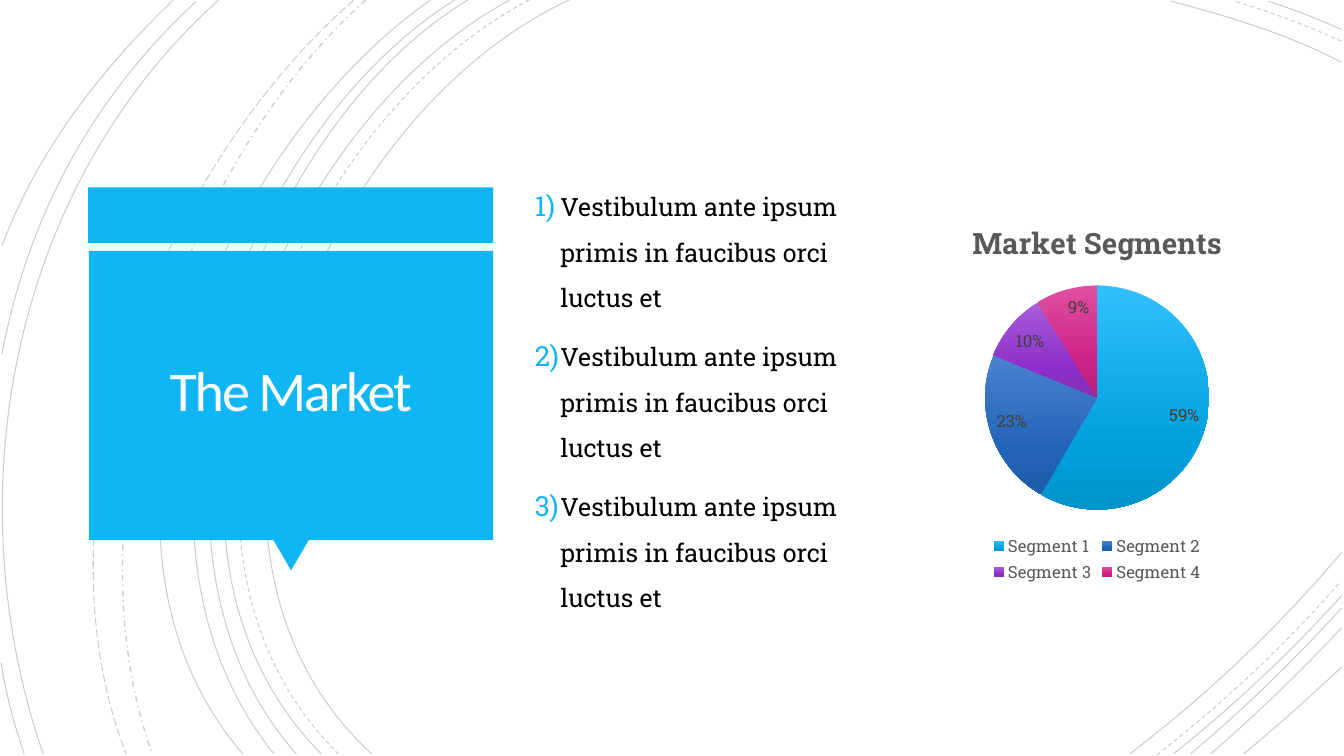
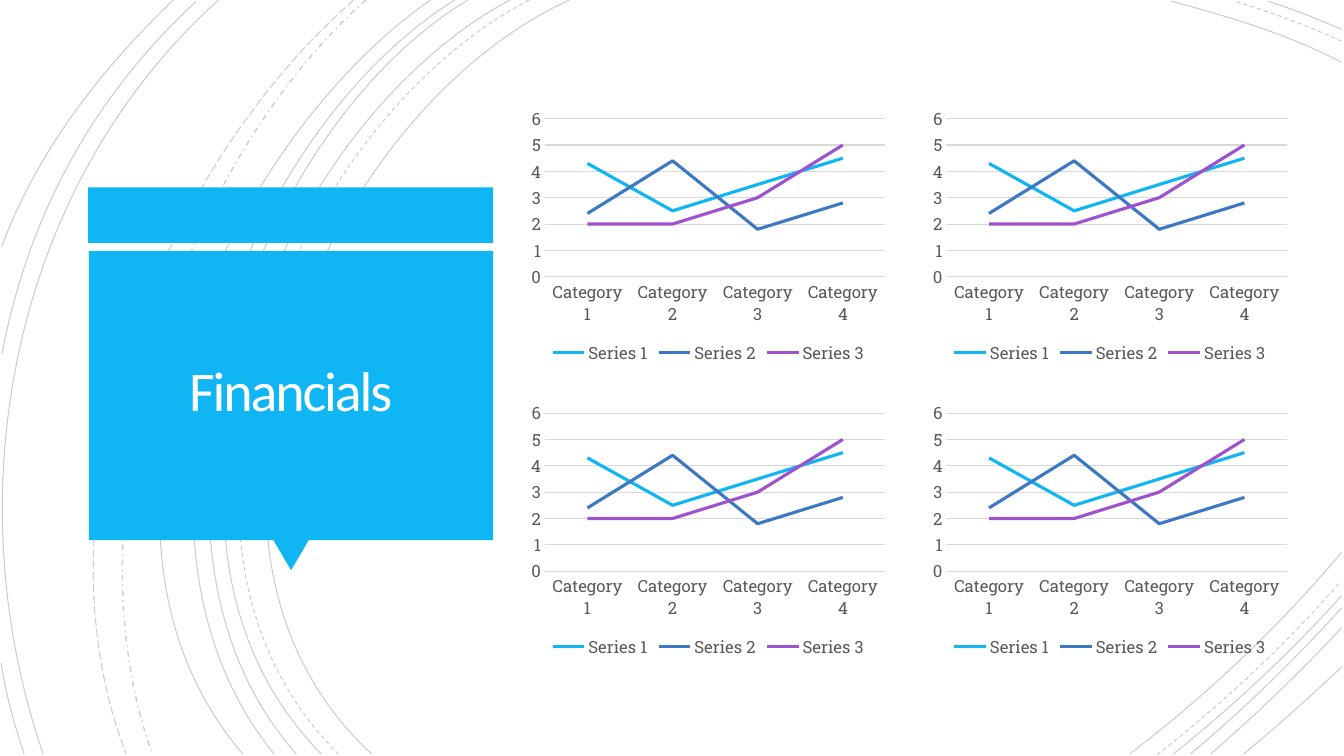
from copy import deepcopy

from lxml import etree
from pptx import Presentation
from pptx.chart.data import CategoryChartData
from pptx.dml.color import RGBColor
from pptx.enum.chart import XL_CHART_TYPE, XL_LABEL_POSITION, XL_LEGEND_POSITION, XL_TICK_MARK
from pptx.enum.dml import MSO_LINE
from pptx.enum.shapes import MSO_SHAPE
from pptx.enum.text import MSO_ANCHOR, MSO_AUTO_SIZE, PP_ALIGN
from pptx.oxml.ns import qn
from pptx.util import Cm, Pt

PIE, LINE = XL_CHART_TYPE.PIE, XL_CHART_TYPE.LINE
LEGEND_BOTTOM = XL_LEGEND_POSITION.BOTTOM
INSIDE_END = XL_LABEL_POSITION.INSIDE_END
NO_TICK = XL_TICK_MARK.NONE
SOLID, DASH = MSO_LINE.SOLID, MSO_LINE.DASH
DASH_DOT, LONG_DASH = MSO_LINE.DASH_DOT, MSO_LINE.LONG_DASH
RECTANGLE, TRIANGLE = MSO_SHAPE.RECTANGLE, MSO_SHAPE.ISOSCELES_TRIANGLE
MIDDLE, CENTER, NO_AUTOFIT = MSO_ANCHOR.MIDDLE, PP_ALIGN.CENTER, MSO_AUTO_SIZE.NONE
TITLE_ONLY = 5

# Backdrop arcs: dash style, then the four Bezier points (x, y) in cm
ARCS = [
    (SOLID, (14.35, 0), (8, 2.92), (3.63, 13.72), (9.37, 19)),
    (SOLID, (33.81, 1.57), (32.46, 0.86), (30.94, 0.41), (29.51, 0.03)),
    (SOLID, (28.47, 19), (30.4, 17.53), (32.23, 15.8), (33.81, 13.92)),
    (DASH, (13.34, 0), (7.24, 3.18), (3.12, 13.64), (8.53, 19)),
    (DASH, (33.81, 1.04), (32.94, 0.64), (32, 0.3), (31.12, 0.03)),
    (DASH, (29.16, 19.02), (30.81, 17.73), (32.39, 16.26), (33.78, 14.66)),
    (SOLID, (12.85, 0), (6.86, 3.23), (2.79, 13.64), (8.1, 19)),
    (SOLID, (33.81, 0.74), (33.2, 0.48), (32.59, 0.23), (31.95, 0.03)),
    (SOLID, (29.57, 19), (31.06, 17.81), (32.51, 16.46), (33.81, 15.01)),
    (SOLID, (11.79, 0), (6.2, 3.38), (2.79, 13.74), (7.47, 19)),
    (SOLID, (30, 19), (31.34, 17.88), (32.61, 16.64), (33.81, 15.32)),
    (SOLID, (11.46, 0), (5.87, 3.51), (2.46, 13.54), (6.91, 19)),
    (SOLID, (30.51, 19), (31.65, 18.01), (32.77, 16.94), (33.81, 15.82)),
    (SOLID, (10.85, 0), (5.51, 3.73), (1.35, 13.44), (6.12, 19)),
    (SOLID, (31.34, 19), (32.18, 18.31), (32.99, 17.58), (33.81, 16.81)),
    (DASH_DOT, (9.22, 0), (4.47, 4.22), (1.65, 12.93), (3.84, 19)),
    (LONG_DASH, (8.92, 0), (3.99, 4.29), (0.74, 12.67), (3.18, 19)),
    (SOLID, (5.51, 0), (0.28, 4.7), (-1.17, 12.45), (1.09, 19)),
    (SOLID, (4.95, 0.03), (2.34, 2.44), (0.71, 5.44), (0.05, 8.92)),
    (SOLID, (0.03, 16.71), (0.15, 17.5), (0.36, 18.26), (0.61, 19)),
    (SOLID, (4.37, 0), (2.54, 1.75), (0.94, 3.81), (0.05, 6.2)),
]

# Slide content
MARKET_POINTS = ["Vestibulum ante ipsum primis in faucibus orci luctus et"] * 3
SEGMENTS = {"Segment 1": 59, "Segment 2": 23, "Segment 3": 10, "Segment 4": 9}
SEGMENT_GRADIENTS = [
    ("32BFFE", "00A1DE", "0094CB"),
    ("4B82CD", "2264B8", "1F5CA8"),
    ("A85ED9", "8D2ECA", "8030B2"),
    ("E04FA1", "CC2285", "B9217A"),
]
GRADIENT_POSITIONS = (0, 0.69, 1)
CATEGORIES = [f"Category {number}" for number in range(1, 5)]
FINANCIAL_SERIES = [
    ("Series 1", (4.3, 2.5, 3.5, 4.5), "10B6F4"),
    ("Series 2", (2.4, 4.4, 1.8, 2.8), "3C78C3"),
    ("Series 3", (2, 2, 3, 5), "9F52D0"),
]


def color(hex_string):
    return RGBColor.from_string(hex_string)


def box(left, top, width, height):
    return Cm(left), Cm(top), Cm(width), Cm(height)


class Deck:
    accent, title_color, black = "10B6F4", "FFFEFF", "000000"
    chart_text, label_text, grid = "595959", "404040", "D9D9D9"
    title_font, body_font = "Calibri", "Roboto Slab"

    def __init__(self):
        self.presentation = Presentation()
        self.presentation.slide_width = Cm(33.87)
        self.presentation.slide_height = Cm(19.05)
        self.layout = self.presentation.slide_layouts[TITLE_ONLY]
        self.slide = None

    def add_slide(self, title):
        first = self.slide is None
        self.slide = self.presentation.slides.add_slide(self.layout)
        if first:
            self.backdrop()
        self.title(title)

    def backdrop(self):
        """Draw the shared arcs and title panel and move them to the layout."""
        shapes = [self.arc(dash, points) for dash, *points in ARCS]
        band = self.block(RECTANGLE, box(2.22, 4.72, 10.21, 1.4))
        pointer = self.block(TRIANGLE, box(6.89, 13.61, 0.89, 0.76))
        pointer.rotation = 180
        panel = self.block(RECTANGLE, box(2.24, 6.32, 10.19, 7.29))
        for shape in shapes + [band, pointer, panel]:
            self.layout.shapes._spTree.append(shape._element)

    def arc(self, dash, points):
        start, *others = [(Cm(x), Cm(y)) for x, y in points]
        builder = self.slide.shapes.build_freeform(*start)
        builder.add_line_segments(others, close=False)
        shape = builder.convert_to_shape()
        # Turn the three straight segments into one cubic curve
        segments = list(shape._element.iter(qn("a:lnTo")))
        curve = etree.SubElement(segments[0].getparent(), qn("a:cubicBezTo"))
        for segment in segments:
            curve.append(segment[0])
            segment.getparent().remove(segment)
        shape.shadow.inherit = False
        shape.fill.background()
        line = shape.line
        line.color.rgb = color(self.black)
        line.width = Pt(1 if dash == DASH_DOT else 0.75)
        line.dash_style = dash
        line_color = shape._element.spPr.find(".//" + qn("a:srgbClr"))
        etree.SubElement(line_color, qn("a:alpha")).set("val", "20000")
        return shape

    def block(self, kind, place):
        shape = self.slide.shapes.add_shape(kind, *place)
        shape.shadow.inherit = False
        shape.fill.solid()
        shape.fill.fore_color.rgb = color(self.accent)
        shape.line.fill.background()
        return shape

    def style_font(self, font, size, hex_string, name=body_font, bold=False):
        font.name, font.size, font.bold = name, Pt(size), bold
        font.color.rgb = color(hex_string)

    def title(self, text):
        shape = self.slide.shapes.title
        shape.left, shape.top, shape.width, shape.height = box(2.46, 6.53, 9.73, 6.83)
        frame = shape.text_frame
        frame.auto_size, frame.word_wrap, frame.vertical_anchor = NO_AUTOFIT, True, MIDDLE
        frame.margin_left = frame.margin_right = Cm(0.64)
        frame.margin_top = frame.margin_bottom = Cm(0.64)
        paragraph = frame.paragraphs[0]
        paragraph.alignment, paragraph.line_spacing = CENTER, 0.85
        run = paragraph.add_run()
        run.text = text
        self.style_font(run.font, 40, self.title_color, self.title_font)
        run.font._element.set("spc", "-150")

    def numbered_list(self, items, place):
        frame = self.slide.shapes.add_textbox(*place).text_frame
        frame.word_wrap, frame.vertical_anchor = True, MIDDLE
        for index, item in enumerate(items):
            paragraph = frame.add_paragraph() if index else frame.paragraphs[0]
            paragraph.line_spacing, paragraph.space_before = 1.5, Pt(10)
            run = paragraph.add_run()
            run.text = item
            self.style_font(run.font, 18, self.black)
            self.number(paragraph)

    def number(self, paragraph):
        properties = paragraph._p.get_or_add_pPr()
        properties.set("marL", str(Cm(0.64)))
        properties.set("indent", str(-Cm(0.64)))
        bullet_color = etree.SubElement(properties, qn("a:buClr"))
        etree.SubElement(bullet_color, qn("a:srgbClr")).set("val", self.accent)
        etree.SubElement(properties, qn("a:buSzPct")).set("val", "110000")
        etree.SubElement(properties, qn("a:buFont")).set("typeface", self.body_font)
        etree.SubElement(properties, qn("a:buAutoNum")).set("type", "arabicParenR")

    def chart(self, kind, categories, series, place):
        data = CategoryChartData()
        data.categories = categories
        for name, values in series:
            data.add_series(name, values)
        chart = self.slide.shapes.add_chart(kind, *place, data).chart
        self.style_font(chart.font, 10, self.black)
        chart.has_title = False
        chart.has_legend = True
        chart.legend.position = LEGEND_BOTTOM
        chart.legend.include_in_layout = False
        self.style_font(chart.legend.font, 12, self.chart_text)
        chart.plots[0].vary_by_categories = kind == PIE
        return chart

    def pie_chart(self, title, shares, gradients, place):
        chart = self.chart(PIE, list(shares), [("Series 1", list(shares.values()))], place)
        chart.has_title = True
        run = chart.chart_title.text_frame.paragraphs[0].add_run()
        run.text = title
        self.style_font(run.font, 21, self.chart_text, bold=True)
        plot = chart.plots[0]
        for index, hex_strings in enumerate(gradients):
            self.gradient(plot.series[0].points[index].format.fill, hex_strings)
        plot.has_data_labels = True
        labels = plot.data_labels
        labels.show_value, labels.position = True, INSIDE_END
        labels.number_format, labels.number_format_is_linked = '0"%"', False
        self.style_font(labels.font, 12, self.label_text)

    def gradient(self, fill, hex_strings):
        fill.gradient()
        fill.gradient_angle = 270
        # The default gradient has two stops; a third is needed
        last_stop = fill.gradient_stops[1]._gs
        last_stop.addnext(deepcopy(last_stop))
        for stop, position, hex_string in zip(fill.gradient_stops, GRADIENT_POSITIONS, hex_strings):
            stop.position = position
            stop.color.rgb = color(hex_string)

    def line_chart(self, categories, series, place):
        chart = self.chart(LINE, categories, [entry[:2] for entry in series], place)
        for line, (_, _, hex_string) in zip(chart.plots[0].series, series):
            line.smooth = False
            line.format.line.color.rgb = color(hex_string)
            line.format.line.width = Pt(2.25)
        category_axis, value_axis = chart.category_axis, chart.value_axis
        for axis in (category_axis, value_axis):
            axis.major_tick_mark = axis.minor_tick_mark = NO_TICK
            self.style_font(axis.tick_labels.font, 12, self.chart_text)
        value_axis.minimum_scale, value_axis.maximum_scale, value_axis.major_unit = 0, 6, 1
        value_axis.format.line.fill.background()
        value_axis.has_major_gridlines = True
        for line in (category_axis.format.line, value_axis.major_gridlines.format.line):
            line.color.rgb = color(self.grid)
            line.width = Pt(0.75)


def main():
    deck = Deck()

    # The market: numbered points and a pie
    deck.add_slide("The Market")
    deck.numbered_list(MARKET_POINTS, box(13.23, 5.09, 9.88, 9.7))
    deck.pie_chart("Market Segments", SEGMENTS, SEGMENT_GRADIENTS, box(22.57, 5.09, 10.16, 9.7))

    # Financials: two by two line charts
    deck.add_slide("Financials")
    for row in range(2):
        for column in range(2):
            place = box(13.2 + column * 10.12, 2.58 + row * 7.42, 9.3, 6.68)
            deck.line_chart(CATEGORIES, FINANCIAL_SERIES, place)

    deck.presentation.save("out.pptx")


if __name__ == "__main__":
    main()
